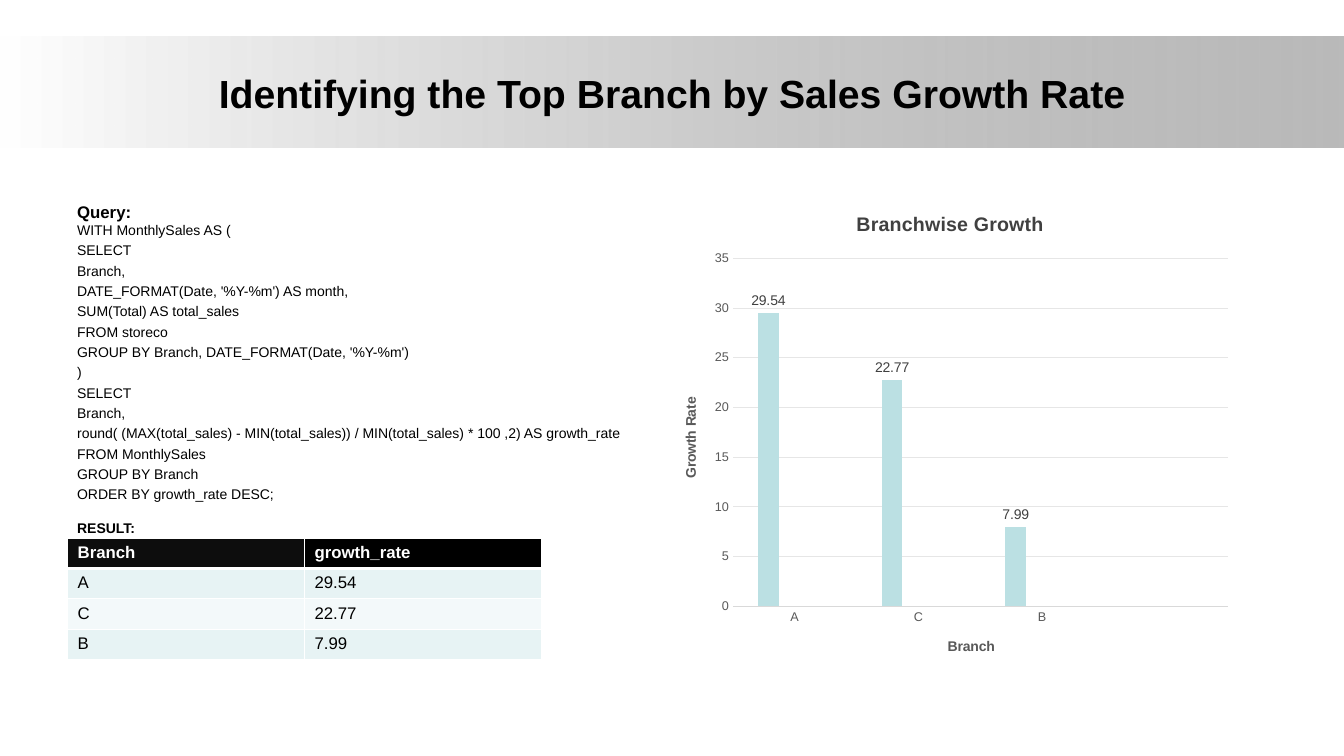
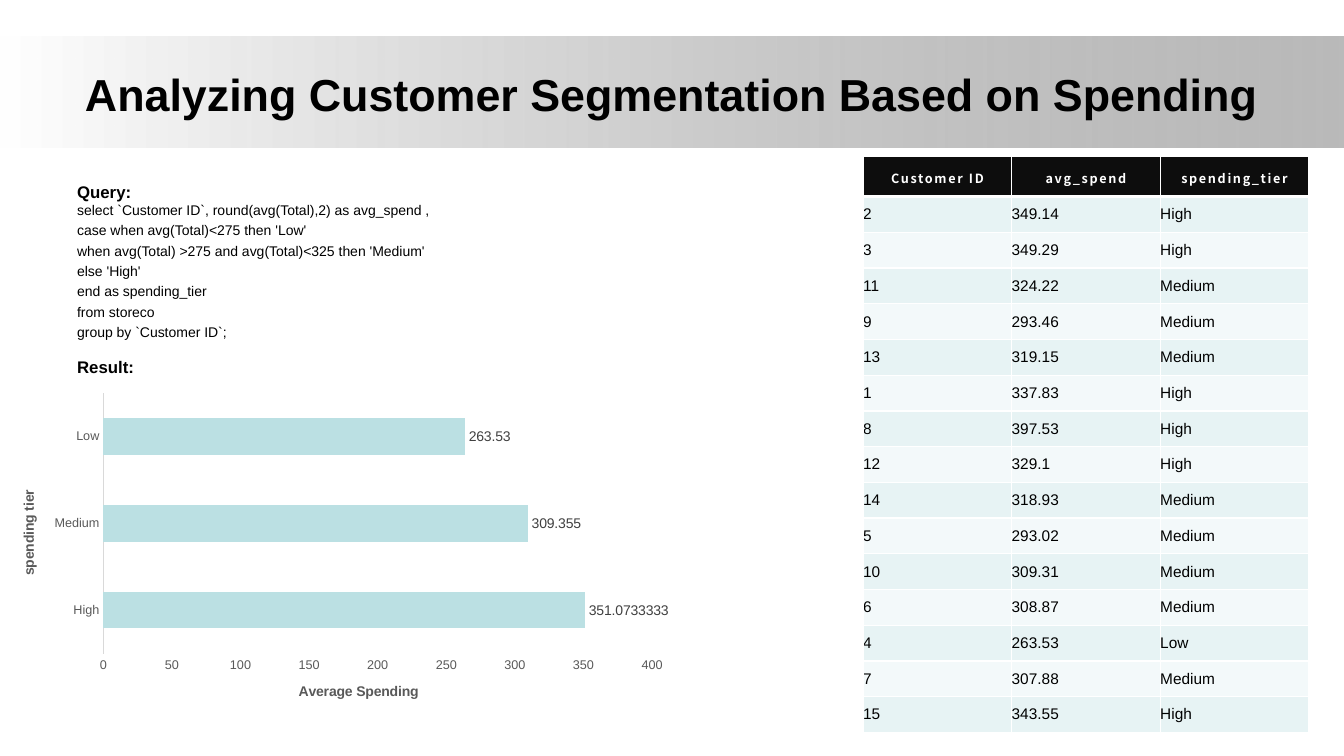
import pptx
import pptx.chart.data
import pptx.dml.color
import pptx.enum.chart
import pptx.enum.shapes
import pptx.enum.text
import pptx.oxml
import pptx.oxml.ns
import pptx.util
from lxml import etree

FONT, HEADER_FONT = "Arial", "Noto Sans CJK SC"
BLACK, INK, WHITE, GREY = "000000", "0D0D0D", "FFFFFF", "808080"
AXIS_TEXT, LABEL_TEXT, AXIS_LINE, GRID_LINE = "595959", "404040", "D9D9D9", "E6E6E6"
TEAL, NAVY = "BBE0E3", "333399"
ROW_FILLS = ["E7F3F4", "F3F9FA"]

Pt, Inches = pptx.util.Pt, pptx.util.Inches
qn = pptx.oxml.ns.qn
MIDDLE = pptx.enum.text.MSO_ANCHOR.MIDDLE
CENTER = pptx.enum.text.PP_ALIGN.CENTER
XL = pptx.enum.chart.XL_CHART_TYPE
NO_TICK = pptx.enum.chart.XL_TICK_MARK.NONE

prs = pptx.Presentation()
prs.slide_width, prs.slide_height = Inches(13.33), Inches(7.5)
LAYOUT = prs.slide_layouts[5]


def box(x, y, w, h):
    """Turn percentages of the slide's size into lengths."""
    sw, sh = prs.slide_width, prs.slide_height
    return [int(v * full / 100) for v, full in ((x, sw), (y, sh), (w, sw), (h, sh))]


TITLE_BOX = box(5, 4, 90, 16.67)
BAND_BOX = box(0, 4.8, 100, 14.67)


def rgb(color):
    return pptx.dml.color.RGBColor.from_string(color)


def style(font, size, color, bold=False, name=FONT):
    font.name, font.size, font.bold = name, Pt(size), bold
    font.color.rgb = rgb(color)


def add_run(p, text, *look, **more):
    r = p.add_run()
    r.text = text
    style(r.font, *look, **more)
    return r


def add_band(s):
    """Draw the fading band and move it to the layout that all slides share."""
    band = s.shapes.add_shape(pptx.enum.shapes.MSO_SHAPE.RECTANGLE, *BAND_BOX)
    band.shadow.inherit = False
    band.line.fill.background()
    band.fill.gradient()
    band.fill.gradient_angle = 0
    for stop, color, position in zip(band.fill.gradient_stops, (WHITE, GREY), (0, 1)):
        stop.color.rgb = rgb(color)
        stop.position = position
    end = list(band.element.iter(qn("a:srgbClr")))[-1]
    etree.SubElement(end, qn("a:alpha"), val="54000")
    LAYOUT.shapes.element.insert(2, band.element)


def add_titled_slide(title, size):
    s = prs.slides.add_slide(LAYOUT)
    sp = s.shapes.title
    sp.left, sp.top, sp.width, sp.height = TITLE_BOX
    tf = sp.text_frame
    tf.word_wrap, tf.vertical_anchor = True, MIDDLE
    tf.auto_size = pptx.enum.text.MSO_AUTO_SIZE.NONE
    p = tf.paragraphs[0]
    p.alignment = CENTER
    add_run(p, title, size, BLACK, True)
    return s


def add_query(s, area, query, result, result_size):
    tf = s.shapes.add_textbox(*area).text_frame
    tf.word_wrap = True
    lines = query.strip().split("\n")
    rows = [("Query:", 12, True, 0), (lines[0], 10, False, 0)]
    rows += [(line, 10, False, 2.5) for line in lines[1:]]
    rows.append((result, result_size, True, 12))
    for i, (text, size, bold, before) in enumerate(rows):
        p = tf.add_paragraph() if i else tf.paragraphs[0]
        p.space_before = Pt(before)
        add_run(p, text, size, BLACK, bold)


def set_borders(cell, **widths):
    tcPr = cell._tc.get_or_add_tcPr()
    for side in "LRTB":
        ln = etree.SubElement(tcPr, qn("a:ln" + side), w=str(Pt(widths.get(side, 1))))
        fill = etree.SubElement(ln, qn("a:solidFill"))
        etree.SubElement(fill, qn("a:srgbClr"), val=WHITE)


def set_margins(cell, side, top):
    cell.margin_left = cell.margin_right = Inches(side)
    cell.margin_top = cell.margin_bottom = Inches(top)


def add_result_table(s, area, rows, head_share, head_fills, size, compact=False):
    """Place a table; compact has a spaced, centred header and no cell margins."""
    x, y, w, h = area
    tb = s.shapes.add_table(len(rows), len(rows[0]), x, y, w, h).table
    tb.horz_banding = False
    for column in tb.columns:
        column.width = w // len(rows[0])
    for i, row in enumerate(rows):
        head = i == 0
        tb.rows[i].height = int(h * (head_share if head else (1 - head_share) / (len(rows) - 1)))
        for j, text in enumerate(row):
            cell = tb.cell(i, j)
            set_borders(cell, **({"B": 3} if head else {"T": 3} if i == 1 else {}))
            cell.fill.solid()
            cell.fill.fore_color.rgb = rgb(head_fills[j] if head else ROW_FILLS[(i - 1) % 2])
            p = cell.text_frame.paragraphs[0]
            if compact:
                cell.vertical_anchor = MIDDLE
                set_margins(cell, *((0.19, 0.01) if head else (0, 0)))
            if compact and head:
                p.alignment, p.line_spacing = CENTER, 1.2
                r = add_run(p, text, 9, WHITE, True, name=HEADER_FONT)
                r._r.get_or_add_rPr().set("spc", "120")
            else:
                add_run(p, text, size, WHITE if head else BLACK, head)


def style_axis(axis, title, line=None, grid=None):
    axis.major_tick_mark = axis.minor_tick_mark = NO_TICK
    style(axis.tick_labels.font, 9, AXIS_TEXT)
    add_run(axis.axis_title.text_frame.paragraphs[0], title, 10, AXIS_TEXT, True)
    axis.has_major_gridlines = bool(grid)
    lines = [(axis.format.line, line)]
    if grid:
        lines.append((axis.major_gridlines.format.line, grid))
    for ln, color in lines:
        if color:
            ln.color.rgb, ln.width = rgb(color), Pt(0.75)
        else:
            ln.fill.background()


def set_plot_area(chart, *shares):
    """Fix the inner plot area to x, y, w, h as shares of the chart."""
    plot_area = chart._chartSpace.find(".//" + qn("c:plotArea"))
    for old in plot_area.findall(qn("c:layout")):
        plot_area.remove(old)
    layout = etree.Element(qn("c:layout"))
    manual = etree.SubElement(layout, qn("c:manualLayout"))
    values = [("layoutTarget", "inner"), ("xMode", "edge"), ("yMode", "edge")]
    values += zip("xywh", map(str, shares))
    for tag, value in values:
        etree.SubElement(manual, qn("c:" + tag), val=value)
    plot_area.insert(0, layout)


def add_bar_chart(s, area, kind, cats, series, gap, overlap, cat_title, val_title,
                  top, step, grid=None, title=None):
    data = pptx.chart.data.CategoryChartData()
    data.categories = cats
    for i, (values, _) in enumerate(series, 1):
        data.add_series(f"Series {i}", values)
    chart = s.shapes.add_chart(kind, *area, data).chart
    style(chart.font, 10, BLACK)
    chart.has_legend = False
    chart.has_title = bool(title)
    if title:
        add_run(chart.chart_title.text_frame.paragraphs[0], title, 14, LABEL_TEXT, True)
        chart.chart_title.include_in_layout = False
    plot = chart.plots[0]
    plot.gap_width, plot.overlap, plot.vary_by_categories = gap, overlap, False
    for ser, (_, color) in zip(plot.series, series):
        ser.format.fill.solid()
        ser.format.fill.fore_color.rgb = rgb(color)
        labels = ser.data_labels
        labels.show_value = True
        labels.position = pptx.enum.chart.XL_LABEL_POSITION.OUTSIDE_END
        style(labels.font, 10, LABEL_TEXT)
    style_axis(chart.category_axis, cat_title, AXIS_LINE)
    axis = chart.value_axis
    style_axis(axis, val_title, grid=grid)
    axis.minimum_scale, axis.maximum_scale, axis.major_unit = 0, top, step
    return chart


GROWTH_QUERY = """
WITH MonthlySales AS (
SELECT
Branch,
DATE_FORMAT(Date, '%Y-%m') AS month,
SUM(Total) AS total_sales
FROM storeco
GROUP BY Branch, DATE_FORMAT(Date, '%Y-%m')
)
SELECT
Branch,
round( (MAX(total_sales) - MIN(total_sales)) / MIN(total_sales) * 100 ,2) AS growth_rate
FROM MonthlySales
GROUP BY Branch
ORDER BY growth_rate DESC;
"""
GROWTH = [("A", 29.54), ("C", 22.77), ("B", 7.99)]

TIER_QUERY = """
select `Customer ID`, round(avg(Total),2) as avg_spend ,
case when avg(Total)<275 then 'Low'
when avg(Total) >275 and avg(Total)<325 then 'Medium'
else 'High'
end as spending_tier
from storeco
group by `Customer ID`;
"""
CUSTOMERS = [
    ("2", "349.14", "High"), ("3", "349.29", "High"), ("11", "324.22", "Medium"),
    ("9", "293.46", "Medium"), ("13", "319.15", "Medium"), ("1", "337.83", "High"),
    ("8", "397.53", "High"), ("12", "329.1", "High"), ("14", "318.93", "Medium"),
    ("5", "293.02", "Medium"), ("10", "309.31", "Medium"), ("6", "308.87", "Medium"),
    ("4", "263.53", "Low"), ("7", "307.88", "Medium"), ("15", "343.55", "High"),
]


def growth_slide():
    s = add_titled_slide("Identifying the Top Branch by Sales Growth Rate", 28)
    add_query(s, box(5, 26, 44.2, 44), GROWTH_QUERY, "RESULT:", 10)
    rows = [("Branch", "growth_rate")] + [(b, str(v)) for b, v in GROWTH]
    add_result_table(s, box(5.03, 71.2, 35.25, 16), rows, 0.25, [INK, BLACK], 12)
    empty = [None] * 4
    add_bar_chart(s, box(49.2, 25.47, 43, 63.87), XL.COLUMN_CLUSTERED,
                  [b for b, _ in GROWTH] + [""],
                  [([v for _, v in GROWTH] + [None], TEAL), (empty, NAVY), (empty, WHITE)],
                  246, -28, "Branch", "Growth Rate", 35, 5, GRID_LINE, "Branchwise Growth")
    return s


def spending_slide():
    s = add_titled_slide("Analyzing Customer Segmentation Based on Spending", 32)
    add_query(s, box(5, 23.33, 44.2, 27), TIER_QUERY, "Result:", 12)
    rows = [("Customer ID", "avg_spend", "spending_tier")] + CUSTOMERS
    add_result_table(s, box(64.22, 20.67, 33.16, 76.27), rows, 0.07, [INK] * 3, 11, True)
    chart = add_bar_chart(s, box(0.8, 51.07, 49.2, 46), XL.BAR_CLUSTERED,
                          ["High", "Medium", "Low"],
                          [([351.0733333, 309.355, 263.53], TEAL)],
                          140, -40, "spending tier", "Average Spending", 400, 50)
    set_plot_area(chart, 0.14, 0.02, 0.83, 0.75)


def main():
    add_band(growth_slide())
    spending_slide()
    prs.save("out.pptx")


if __name__ == "__main__":
    main()
